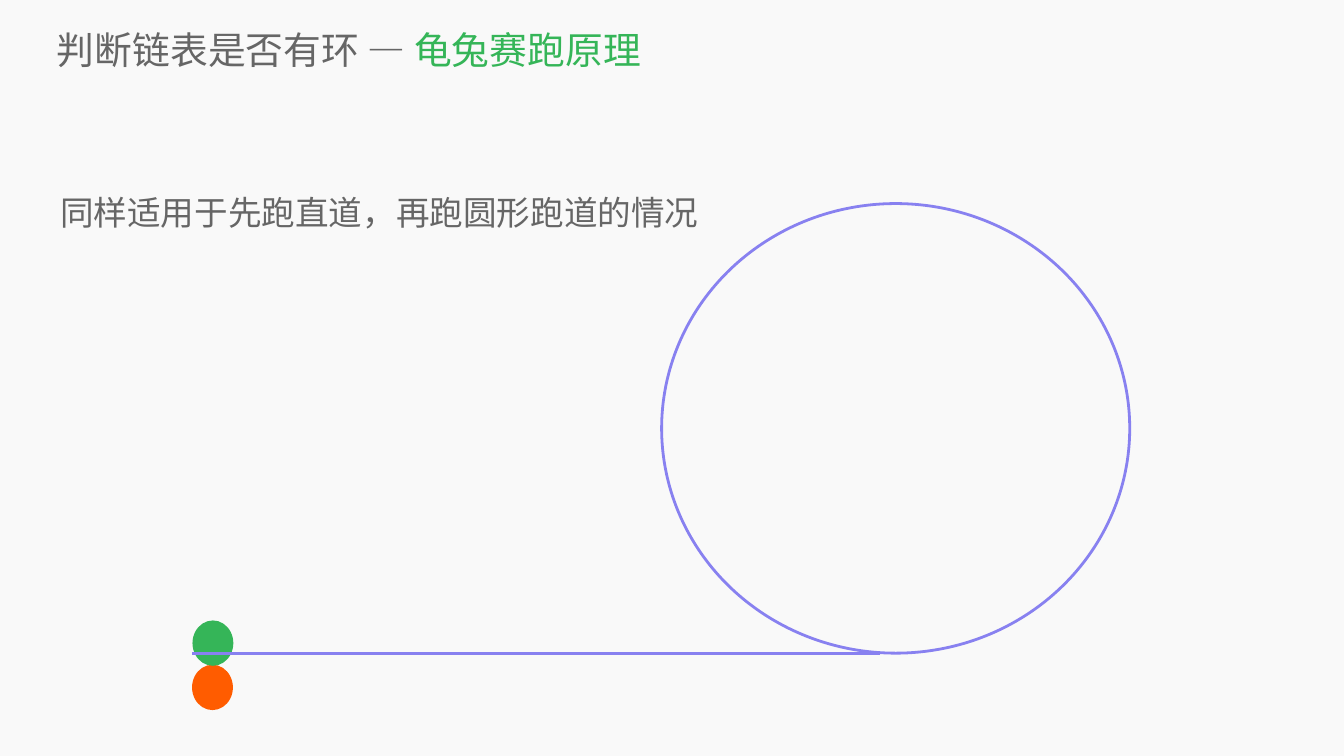
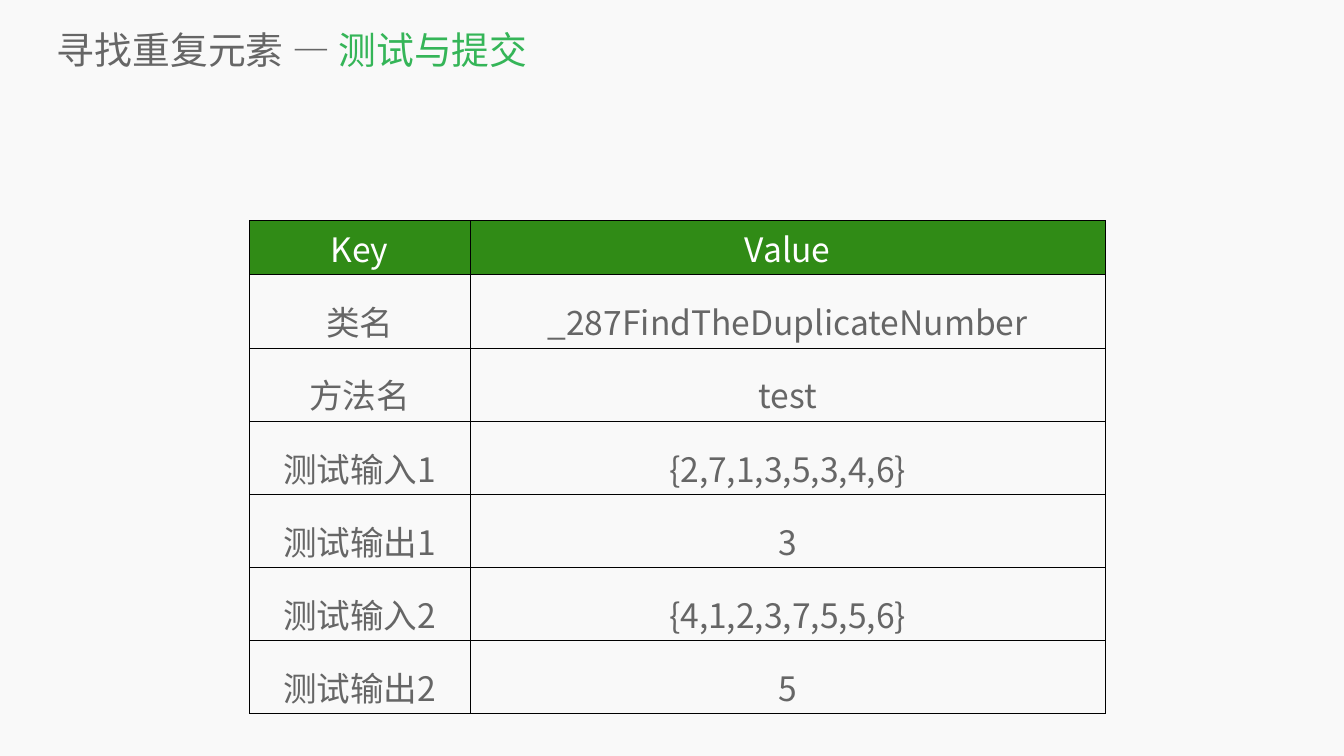
from dataclasses import dataclass
from typing import NamedTuple

from lxml.etree import SubElement as Sub
from pptx import Presentation
from pptx.dml.color import RGBColor as Rgb
from pptx.enum.shapes import MSO_CONNECTOR as Link, MSO_SHAPE as Form
from pptx.enum.text import MSO_ANCHOR as Anchor, PP_ALIGN as Align
from pptx.oxml import parse_xml
from pptx.oxml.ns import nsdecls, qn
from pptx.slide import Slide
from pptx.text.text import TextFrame as Frame
from pptx.util import Inches, Pt

WIDE, HIGH = Inches(26.67), Inches(15)


@dataclass(frozen=True)
class Theme:
    """Colours, font and sizes that both slides share."""
    page: str = "F9F9F9"
    ink: str = "666666"
    green: str = "35B558"
    orange: str = "FF5C00"
    track: str = "8881F0"
    head: str = "308B16"
    white: str = "FFFFFF"
    rule: str = "000000"
    font: str = "Noto Sans CJK SC"
    title: int = 54
    body: int = 48
    lead: float = 1.4
    stroke: int = 4
    edge: int = 1


class Box(NamedTuple):
    """A frame in percent of the slide's width and height."""
    left: float
    top: float
    width: float
    height: float

    def place(self) -> tuple[int, int, int, int]:
        """Return the frame as slide lengths."""
        return across(self.left), down(self.top), across(self.width), down(self.height)


class Disc(NamedTuple):
    """An ellipse that is either filled or outlined."""
    box: Box
    fill: str | None = None
    line: str | None = None


LOOK = Theme()
TITLE = Box(4.24, 3.13, 94.34, 6.8)
NOTE = Box(4.48, 23.27, 91.04, 74.93)
RING = Box(49.23, 26.93, 34.83, 59.47)
START, MEET = 14.29, 65.45
RUNNERS = (
    Disc(Box(START, 87.93, 3.04, 6), fill=LOOK.orange),
    Disc(Box(START + 0.03, 82.07, 3.04, 6), fill=LOOK.green),
)
COLS = (16.4, 47.29)
HEAD_ROW, ROW = 7.14, 9.68
CASES = (
    ("Key", "Value"),
    ("类名", "_287FindTheDuplicateNumber"),
    ("方法名", "test"),
    ("测试输入1", "{2,7,1,3,5,3,4,6}"),
    ("测试输出1", "3"),
    ("测试输入2", "{4,1,2,3,7,5,5,6}"),
    ("测试输出2", "5"),
)
GRID = Box(18.56, 29.2, sum(COLS), HEAD_ROW + ROW * (len(CASES) - 1))


def across(share: float) -> int:
    """Turn a percentage of the width into a length."""
    return round(WIDE * share / 100)


def down(share: float) -> int:
    """Turn a percentage of the height into a length."""
    return round(HIGH * share / 100)


def write(frame: Frame, text: str, *, color: str = LOOK.ink, size: int = LOOK.body,
          align: Align = Align.LEFT, lead: float | None = None) -> None:
    """Add a formatted run to the first paragraph of a frame."""
    para = frame.paragraphs[0]
    para.alignment = align
    if lead:
        para.line_spacing = lead
    run = para.add_run()
    run.text = text
    run.font.size = Pt(size)
    run.font.color.rgb = Rgb.from_string(color)
    run.font.name = LOOK.font
    Sub(run.font._element, qn("a:ea"), typeface=LOOK.font)


def add_text(slide: Slide, box: Box, anchor: Anchor = Anchor.TOP) -> Frame:
    """Add a wrapping text box without insets."""
    frame = slide.shapes.add_textbox(*box.place()).text_frame
    frame.word_wrap = True
    frame.vertical_anchor = anchor
    frame.margin_left = frame.margin_right = 0
    frame.margin_top = frame.margin_bottom = 0
    return frame


def add_page(deck: Presentation, topic: str, part: str) -> Slide:
    """Add a blank slide with the shared background and title."""
    slide = deck.slides.add_slide(deck.slide_layouts[6])
    slide.background.fill.solid()
    slide.background.fill.fore_color.rgb = Rgb.from_string(LOOK.page)
    frame = add_text(slide, TITLE, Anchor.MIDDLE)
    write(frame, f"{topic} — ", size=LOOK.title)
    write(frame, part, size=LOOK.title, color=LOOK.green)
    return slide


def add_disc(slide: Slide, disc: Disc) -> None:
    """Draw one ellipse."""
    shape = slide.shapes.add_shape(Form.OVAL, *disc.box.place())
    shape.shadow.inherit = False
    if disc.fill:
        shape.fill.solid()
        shape.fill.fore_color.rgb = Rgb.from_string(disc.fill)
    else:
        shape.fill.background()
    if disc.line:
        shape.line.color.rgb = Rgb.from_string(disc.line)
        shape.line.width = Pt(LOOK.stroke)
    else:
        shape.line.fill.background()


def add_track(slide: Slide) -> None:
    """Draw the ring and the straight that leads into it."""
    add_disc(slide, Disc(RING, line=LOOK.track))
    level = down(RING.top + RING.height)
    line = slide.shapes.add_connector(
        Link.STRAIGHT, across(MEET), level, across(START), level)
    line.line.color.rgb = Rgb.from_string(LOOK.track)
    line.line.width = Pt(LOOK.stroke)
    Sub(line._element.spPr, qn("a:effectLst"))


def add_grid(slide: Slide) -> None:
    """Draw the table of test cases."""
    table = slide.shapes.add_table(len(CASES), len(COLS), *GRID.place()).table
    table.first_row = table.horz_banding = False
    for col, width in zip(table.columns, COLS):
        col.width = across(width)
    for at, (row, texts) in enumerate(zip(table.rows, CASES)):
        top = at == 0
        row.height = down(HEAD_ROW if top else ROW)
        for cell, text in zip(row.cells, texts):
            if top:
                cell.fill.solid()
                cell.fill.fore_color.rgb = Rgb.from_string(LOOK.head)
            else:
                cell.fill.background()
            props = cell._tc.get_or_add_tcPr()
            for spot, side in enumerate("LRTB"):
                props.insert(spot, parse_xml(
                    f'<a:ln{side} {nsdecls("a")} w="{Pt(LOOK.edge)}"><a:solidFill>'
                    f'<a:srgbClr val="{LOOK.rule}"/></a:solidFill></a:ln{side}>'))
            write(cell.text_frame, text, align=Align.CENTER,
                  color=LOOK.white if top else LOOK.ink,
                  lead=None if top else LOOK.lead)


def main() -> None:
    """Build and save both slides."""
    deck = Presentation()
    deck.slide_width, deck.slide_height = WIDE, HIGH
    race = add_page(deck, "判断链表是否有环", "龟兔赛跑原理")
    write(add_text(race, NOTE), "同样适用于先跑直道，再跑圆形跑道的情况", lead=LOOK.lead)
    for disc in RUNNERS:
        add_disc(race, disc)
    add_track(race)
    add_grid(add_page(deck, "寻找重复元素", "测试与提交"))
    deck.save("out.pptx")


if __name__ == "__main__":
    main()
